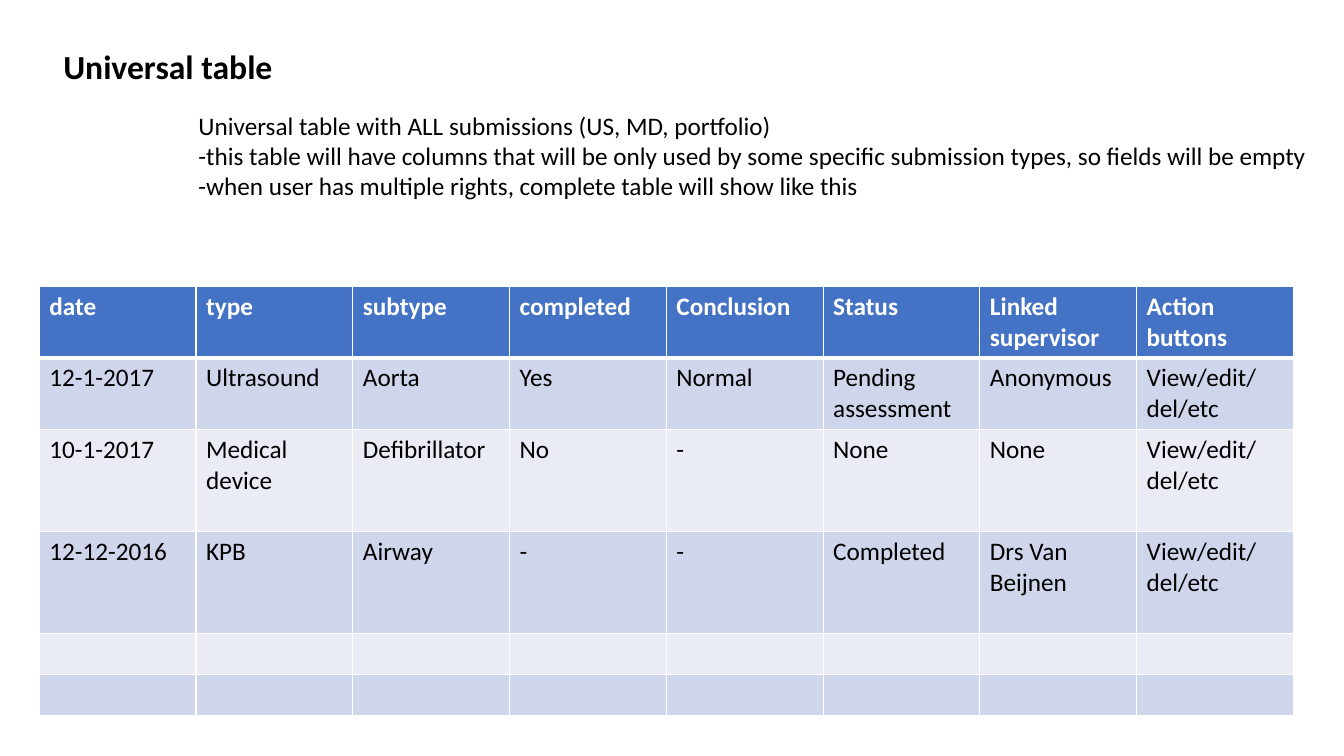
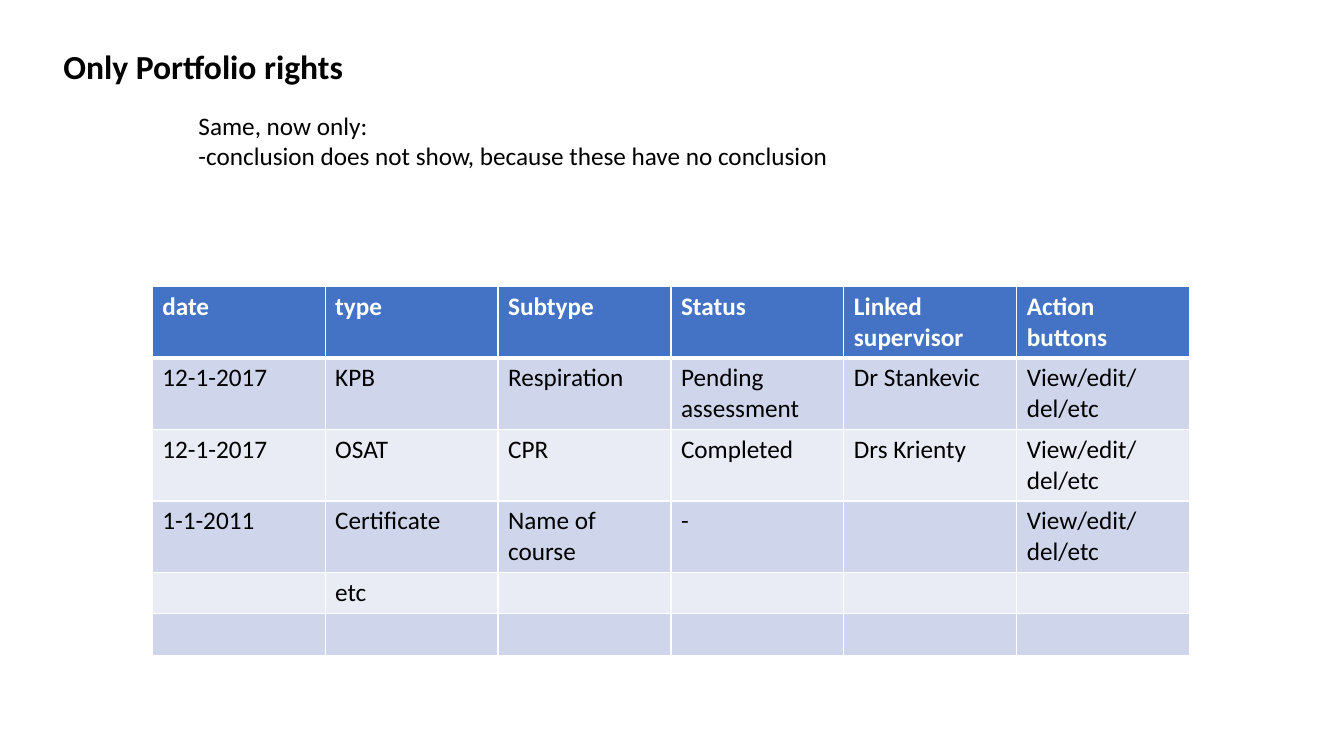
from dataclasses import dataclass

from lxml.etree import SubElement
from pptx import Presentation
from pptx.dml.color import RGBColor
from pptx.enum.text import MSO_AUTO_SIZE
from pptx.oxml.ns import qn
from pptx.util import Inches, Pt


@dataclass(frozen=True)
class Theme:
    font: str = "Calibri"
    ink: str = "000000"
    paper: str = "FFFFFF"
    header: str = "4472C4"
    bands: tuple = ("CFD5EA", "E9EBF5")
    title_size: int = 24
    body_size: int = 18
    rule: int = 1
    header_rule: int = 3


class Deck:
    """Holds the theme and the slide being built."""

    def __init__(self, theme):
        self.theme = theme
        self.prs = Presentation()
        self.prs.slide_width = Inches(13.33)
        self.prs.slide_height = Inches(7.5)
        self.slide = None

    def new_slide(self):
        self.slide = self.prs.slides.add_slide(self.prs.slide_layouts[6])

    def style(self, frame, size, color, bold=False):
        for paragraph in frame.paragraphs:
            for run in paragraph.runs:
                run.font.name = self.theme.font
                run.font.size = Pt(size)
                run.font.bold = bold
                run.font.color.rgb = RGBColor.from_string(color)

    def text(self, text, left, top, width, height, size, bold=False):
        box = self.slide.shapes.add_textbox(
            Inches(left), Inches(top), Inches(width), Inches(height))
        frame = box.text_frame
        frame.text = text
        frame.word_wrap = False
        frame.auto_size = MSO_AUTO_SIZE.SHAPE_TO_FIT_TEXT
        self.style(frame, size, self.theme.ink, bold)

    def title(self, text, width):
        self.text(text, 0.53, 0.41, width, 0.5, self.theme.title_size, bold=True)

    def notes(self, lines, width, height):
        self.text("\n".join(lines), 1.87, 1.04, width, height, self.theme.body_size)

    def borders(self, cell, top, bottom):
        properties = cell._tc.get_or_add_tcPr()
        rule = self.theme.rule
        for side, points in (("L", rule), ("R", rule), ("T", top), ("B", bottom)):
            line = SubElement(properties, qn(f"a:ln{side}"), w=str(Pt(points)))
            fill = SubElement(line, qn("a:solidFill"))
            SubElement(fill, qn("a:srgbClr"), val=self.theme.paper)

    def table(self, rows, left, width, heights):
        theme = self.theme
        columns = len(rows[0])
        table = self.slide.shapes.add_table(
            len(rows), columns, Inches(left), Inches(2.84),
            Inches(width), Inches(sum(heights))).table
        for column in table.columns:
            column.width = Inches(width / columns)
        for r, (values, height) in enumerate(zip(rows, heights)):
            table.rows[r].height = Inches(height)
            is_header = r == 0
            fill = theme.header if is_header else theme.bands[(r - 1) % 2]
            color = theme.paper if is_header else theme.ink
            top = theme.header_rule if r == 1 else theme.rule
            bottom = theme.header_rule if is_header else theme.rule
            for c, value in enumerate(values):
                cell = table.cell(r, c)
                cell.text_frame.text = value
                self.style(cell.text_frame, theme.body_size, color, is_header)
                self.borders(cell, top, bottom)
                cell.fill.solid()
                cell.fill.fore_color.rgb = RGBColor.from_string(fill)


deck = Deck(Theme())
actions = "View/edit/del/etc"

# Universal table: every submission type
deck.new_slide()
deck.table(
    [
        ["date", "type", "subtype", "completed", "Conclusion", "Status",
         "Linked supervisor", "Action buttons"],
        ["12-1-2017", "Ultrasound", "Aorta", "Yes", "Normal",
         "Pending assessment", "Anonymous", actions],
        ["10-1-2017", "Medical device", "Defibrillator", "No", "-",
         "None", "None", actions],
        ["12-12-2016", "KPB", "Airway", "-", "-",
         "Completed", "Drs Van Beijnen", actions],
        [""] * 8,
        [""] * 8,
    ],
    left=0.39, width=12.44, heights=[0.71, 0.71, 1.01, 1.01, 0.41, 0.41])
deck.notes(
    [
        "Universal table with ALL submissions (US, MD, portfolio)",
        "-this table will have columns that will be only used by some "
        "specific submission types, so fields will be empty",
        "-when user has multiple rights, complete table will show like this",
    ],
    width=11.32, height=1.01)
deck.title("Universal table", width=2.3)

# Portfolio rights: no completed or conclusion column
deck.new_slide()
deck.table(
    [
        ["date", "type", "Subtype", "Status", "Linked supervisor", "Action buttons"],
        ["12-1-2017", "KPB", "Respiration", "Pending assessment",
         "Dr Stankevic", actions],
        ["12-1-2017", "OSAT", "CPR", "Completed", "Drs Krienty", actions],
        ["1-1-2011", "Certificate", "Name of course", "-", "", actions],
        ["", "etc", "", "", "", ""],
        [""] * 6,
    ],
    left=1.51, width=10.29, heights=[0.71] * 4 + [0.41] * 2)
deck.title("Only Portfolio rights", width=3.01)
deck.notes(
    [
        "Same, now only:",
        "-conclusion does not show, because these have no conclusion",
    ],
    width=6.58, height=0.71)

deck.prs.save("out.pptx")
